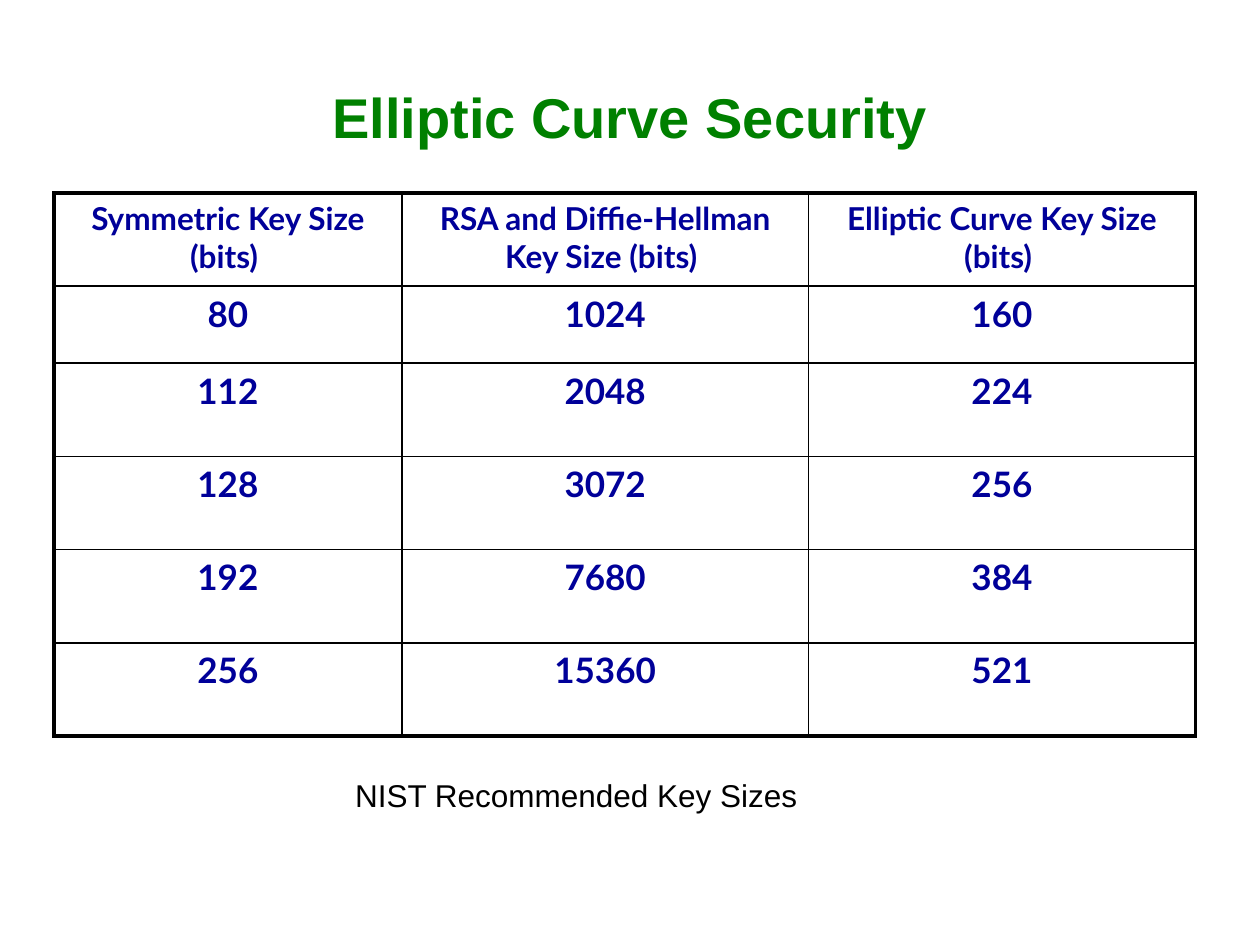
from lxml.etree import SubElement
from pptx import Presentation
from pptx.dml.color import RGBColor
from pptx.enum.text import MSO_ANCHOR as Anchor, MSO_AUTO_SIZE as AutoSize, PP_ALIGN as Align
from pptx.oxml.ns import qn
from pptx.util import Cm, Pt

GREEN = RGBColor(0x00, 0x80, 0x00)
NAVY = RGBColor(0x00, 0x00, 0x99)
BLACK = RGBColor(0x00, 0x00, 0x00)

THIN, THICK = Pt(1), Pt(2.25)
COLUMN_WIDTHS = [Cm(7.01), Cm(8.2), Cm(7.8)]
ROW_HEIGHTS = [Cm(1.88), Cm(1.55)] + [Cm(1.88)] * 4
KEY_SIZES = [
    ["Symmetric Key Size\v(bits) ", "RSA and Diffie-Hellman\vKey Size (bits) ",
     "Elliptic Curve Key Size\v(bits) "],
    ["80", "1024", "160"],
    ["112", "2048", "224"],
    ["128", "3072", "256"],
    ["192", "7680", "384"],
    ["256", "15360", "521"],
]


def style_paragraph(para, font_name, size, color, bold=False, align=None):
    para.alignment = align
    font = para.font
    font.name, font.size, font.bold = font_name, Pt(size), bold
    font.color.rgb = color


def set_border(cell, side, width):
    line = SubElement(cell._tc.get_or_add_tcPr(), qn(f"a:ln{side}"), w=str(width))
    fill = SubElement(line, qn("a:solidFill"))
    SubElement(fill, qn("a:srgbClr"), val=str(BLACK))


def add_title(page, left, top, width, height):
    title = page.shapes.title
    title.left, title.top, title.width, title.height = left, top, width, height
    frame = title.text_frame
    frame.text = "Elliptic Curve Security"
    frame.vertical_anchor = Anchor.MIDDLE
    style_paragraph(frame.paragraphs[0], "Arial", 32, GREEN, True, Align.CENTER)


def add_key_size_table(page, left, top):
    last_row, last_col = len(ROW_HEIGHTS) - 1, len(COLUMN_WIDTHS) - 1
    table = page.shapes.add_table(
        last_row + 1, last_col + 1, left, top, sum(COLUMN_WIDTHS), sum(ROW_HEIGHTS)).table
    table.first_row = table.horz_banding = False
    for column, width in zip(table.columns, COLUMN_WIDTHS):
        column.width = width
    for row, height in zip(table.rows, ROW_HEIGHTS):
        row.height = height

    for r, texts in enumerate(KEY_SIZES):
        for c, text in enumerate(texts):
            cell = table.cell(r, c)
            cell.text_frame.text = text
            style_paragraph(cell.text_frame.paragraphs[0], "Lato",
                            18 if r == 0 else 20, NAVY, True, Align.CENTER)
            # Thick frame outside, thin rules inside
            outer_sides = {"L": c == 0, "R": c == last_col, "T": r == 0, "B": r == last_row}
            for side, is_outer in outer_sides.items():
                set_border(cell, side, THICK if is_outer else THIN)
            cell.fill.background()


def add_caption(page, left, top, width, height):
    frame = page.shapes.add_textbox(left, top, width, height).text_frame
    frame.word_wrap = False
    frame.auto_size = AutoSize.SHAPE_TO_FIT_TEXT
    frame.text = "NIST Recommended Key Sizes"
    style_paragraph(frame.paragraphs[0], "Arial", 18, BLACK)


def main():
    deck = Presentation()
    deck.slide_width, deck.slide_height = Cm(25.4), Cm(19.05)
    page = deck.slides.add_slide(deck.slide_layouts.get_by_name("Title Only"))
    add_title(page, Cm(1.27), Cm(0.76), Cm(22.86), Cm(3.18))
    add_key_size_table(page, Cm(1.09), Cm(3.89))
    add_caption(page, Cm(6.91), Cm(15.52), Cm(10.24), Cm(1.09))
    deck.save("out.pptx")


if __name__ == "__main__":
    main()
